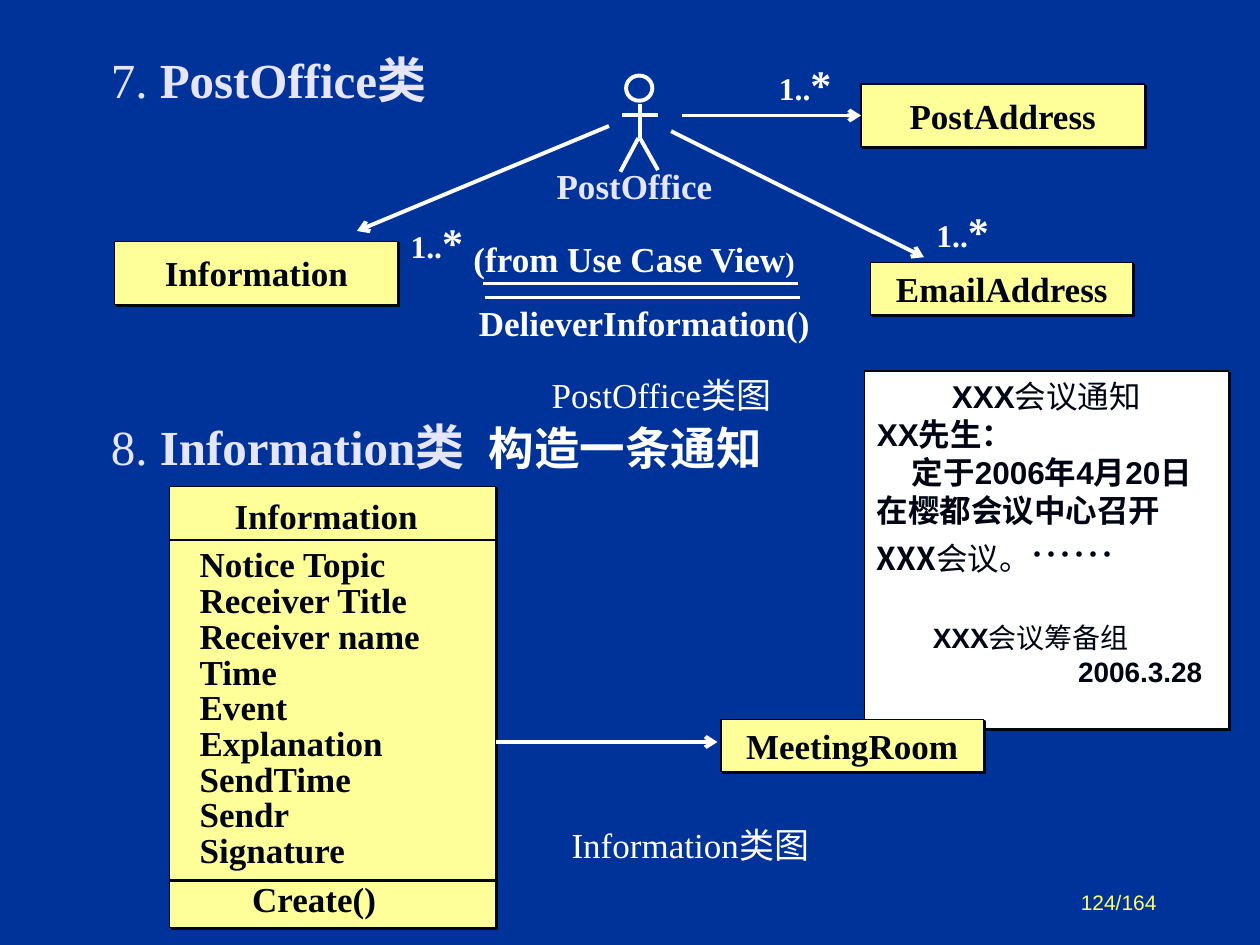
from lxml.etree import SubElement
from pptx import Presentation
from pptx.dml.color import RGBColor
from pptx.enum.shapes import MSO_CONNECTOR, MSO_SHAPE
from pptx.enum.text import MSO_ANCHOR, PP_ALIGN
from pptx.oxml.ns import qn
from pptx.util import Pt

NAVY = RGBColor(0x00, 0x33, 0x99)
INK = RGBColor(0x00, 0x05, 0x14)
WHITE = RGBColor(0xFF, 0xFF, 0xFF)
PALE = RGBColor(0xE5, 0xE5, 0xFF)
CREAM = RGBColor(0xFF, 0xFF, 0x99)
YELLOW = RGBColor(0xFF, 0xFF, 0x66)
SERIF, SANS, HAN = "Times New Roman", "Arial", "Noto Sans CJK SC"
FIELDS = ["Notice Topic", "Receiver Title", "Receiver name", "Time", "Event",
          "Explanation", "SendTime", "Sendr", "Signature"]


def write(para, runs, color, font=SERIF, align=PP_ALIGN.LEFT, left=0, first=0):
    """Fill a paragraph with (text, size, bold[, color[, font]]) runs."""
    para.alignment = align
    props = para._p.get_or_add_pPr()
    props.set("marL", str(Pt(left)))
    props.set("indent", str(Pt(first)))
    for words, size, bold, *rest in runs:
        run = para.add_run()
        run.text = words
        run.font.size = Pt(size)
        run.font.bold = bold
        run.font.color.rgb = rest[0] if rest else color
        run.font.name = rest[1] if len(rest) > 1 else font
        SubElement(run._r.get_or_add_rPr(), qn("a:ea")).set("typeface", HAN)


def label(slide, box, runs, color=WHITE, font=SERIF, align=PP_ALIGN.LEFT,
          anchor=MSO_ANCHOR.TOP):
    """Place a one-line text box and return its frame."""
    frame = slide.shapes.add_textbox(*map(Pt, box)).text_frame
    frame.word_wrap = True
    frame.vertical_anchor = anchor
    write(frame.paragraphs[0], runs, color, font, align)
    return frame


def panel(slide, box, fill=CREAM):
    """Place a filled box with a hard shadow and return its frame."""
    shape = slide.shapes.add_shape(MSO_SHAPE.RECTANGLE, *map(Pt, box))
    shape.fill.solid()
    shape.fill.fore_color.rgb = fill
    shape.line.color.rgb = INK
    shape.line.width = Pt(0.75)
    shape.shadow.inherit = False
    effects = shape._element.spPr.find(qn("a:effectLst"))
    shade = SubElement(effects, qn("a:outerShdw"), dist=str(Pt(1.4)),
                       dir="2700000", algn="ctr", rotWithShape="0")
    SubElement(shade, qn("a:srgbClr"), val=str(INK))
    shape.text_frame.word_wrap = True
    shape.text_frame.vertical_anchor = MSO_ANCHOR.MIDDLE
    return shape.text_frame


def node(slide, box, name):
    """Place a class box that shows only its name."""
    write(panel(slide, box).paragraphs[0], [(name, 20, True)], INK,
          align=PP_ALIGN.CENTER)


def stroke(slide, ends, color=WHITE, width=2.25, arrow=False):
    """Draw a line, with an open arrowhead at its end if asked."""
    line = slide.shapes.add_connector(MSO_CONNECTOR.STRAIGHT, *map(Pt, ends))
    line.line.color.rgb = color
    line.line.width = Pt(width)
    props = line._element.spPr
    if arrow:
        SubElement(props.find(qn("a:ln")), qn("a:tailEnd"), type="arrow")
    SubElement(props, qn("a:effectLst"))


def heading(slide, box, number, name, extra=""):
    """Place a numbered heading with an optional tabbed remark."""
    runs = [(number, 28, False), (name, 28, True)]
    if extra:
        runs += [("\t", 24, True), (extra, 26, True, WHITE)]
    frame = label(slide, box, runs, PALE, anchor=MSO_ANCHOR.MIDDLE)
    frame.margin_left = Pt(15.2)
    if extra:
        stops = SubElement(frame.paragraphs[0]._p.pPr, qn("a:tabLst"))
        SubElement(stops, qn("a:tab"), pos=str(Pt(230)), algn="l")


def actor(slide, box):
    """Draw a stick figure."""
    x, y, w, h = box
    mid, hip = x + w / 2, y + 0.65 * h
    head = slide.shapes.add_shape(MSO_SHAPE.OVAL, Pt(mid - 8), Pt(y),
                                  Pt(15), Pt(14.4))
    head.fill.background()
    head.line.color.rgb = WHITE
    head.line.width = Pt(2.25)
    head.shadow.inherit = False
    for ends in [(mid, y + 16, mid, hip), (mid - 1, hip, x - 1, y + h),
                 (mid, hip, x + w, y + h - 1), (x, y + 22.4, x + w, y + 22.4)]:
        stroke(slide, ends)


def office(slide, box):
    """Place the PostOffice class diagram."""
    x, y, w, h = box
    for dx, dy, wide, high, name in [(0, 108, 162, 36, "Information"),
                                     (426.5, 18, 162, 36, "PostAddress"),
                                     (432, 120, 150, 30, "EmailAddress")]:
        node(slide, (x + dx, y + dy, wide, high), name)
    actor(slide, (x + 290, y + 13.2, 20.5, 55))
    for ax, ay, bx, by in [(324, 36, 426.5, 36), (318, 45, 462.5, 117),
                           (282.5, 42, 138.5, 102)]:
        stroke(slide, (x + ax, y + ay, x + bx, y + by), arrow=True)
    for dx, dy in [(372.5, 0), (162, 90), (462.5, 84)]:
        label(slide, (x + dx, y + dy, 60, 36),
              [("1..", 18, True), ("*", 24, True)])
    for dx, dy in [(210.5, 132), (211.5, 140)]:
        stroke(slide, (x + dx, y + dy, x + dx + 180, y + dy), width=1.5)
    label(slide, (x + 245.5, y + 60.5, 117.5, 31.5),
          [("PostOffice", 20, True)], PALE)
    label(slide, (x + 198, y + 102, 216, 31.5),
          [("(from Use Case View", 20, True), (")", 16, True)])
    label(slide, (x + 201, y + 138.5, 216, 31.5),
          [("DelieverInformation()", 20, True)])
    label(slide, (x + 219.5, y + h - 31.5, 186, 31.5),
          [("PostOffice类图", 20, False)], align=PP_ALIGN.CENTER)


def notice(slide, box):
    """Place the sample meeting notice."""
    frame = panel(slide, box, WHITE)
    frame.vertical_anchor = MSO_ANCHOR.TOP
    rows = [
        ([("XXX", 18, True), ("会议通知", 18, False)],
         {"align": PP_ALIGN.CENTER}),
        ([("XX先生：", 18, True)], {}),
        ([("定于2006年4月20日在樱都会议中心召开", 18, True),
          ("XXX", 18, True, INK, HAN), ("会议。", 18, False, INK, HAN),
          ("……", 24, False, INK, SERIF)], {"first": 20}),
        ([("XXX", 16, True), ("会议筹备组", 16, False)], {"left": 32}),
        ([("2006.3.28", 16, True)], {"left": 115}),
    ]
    for i, (runs, style) in enumerate(rows):
        para = frame.add_paragraph() if i else frame.paragraphs[0]
        write(para, runs, INK, SANS, **style)
    frame.paragraphs[3].space_before = Pt(24)


def card(slide, box):
    """Place the Information class with its fields and method."""
    x, y, w, h = box
    frame = panel(slide, box)
    rows = [("Information", 30), *((name, 10) for name in FIELDS),
            ("Create()", 40)]
    for i, (name, left) in enumerate(rows):
        para = frame.add_paragraph() if i else frame.paragraphs[0]
        write(para, [(name, 20, True)], INK, left=left)
        if i:
            para.line_spacing = 0.85
        if i in (1, len(rows) - 1):
            para.space_before = Pt(7.5)
    for dy in (30.5, h - 27):
        stroke(slide, (x, y + dy, x + w, y + dy), INK, 1.5)


def info(slide, box):
    """Place the Information class diagram."""
    x, y, w, h = box
    card(slide, (x, y, 186, h))
    node(slide, (x + w - 150, y + 133, 150, 30), "MeetingRoom")
    stroke(slide, (x + 186.5, y + 146, x + w - 152, y + 146), arrow=True)
    label(slide, (x + 222.5, y + 189, 192, 31.5),
          [("Information类图", 20, False)])


def main():
    """Build the slide and save it."""
    deck = Presentation()
    deck.slide_width, deck.slide_height = Pt(720), Pt(540)
    slide = deck.slides.add_slide(deck.slide_layouts[6])
    slide.background.fill.solid()
    slide.background.fill.fore_color.rgb = NAVY
    heading(slide, (48.2, 24, 612, 42), "7. ", "PostOffice类")
    heading(slide, (48.2, 234, 465, 42), "8. ", "Information类",
            "构造一条通知")
    office(slide, (65.5, 30, 588.5, 211.5))
    notice(slide, (494, 212, 208, 204.5))
    info(slide, (97, 278, 465, 252))
    label(slide, (500, 489, 168, 37.5), [("124/164", 12, False)], YELLOW,
          SANS, PP_ALIGN.RIGHT, MSO_ANCHOR.BOTTOM)
    deck.save("out.pptx")


if __name__ == "__main__":
    main()
